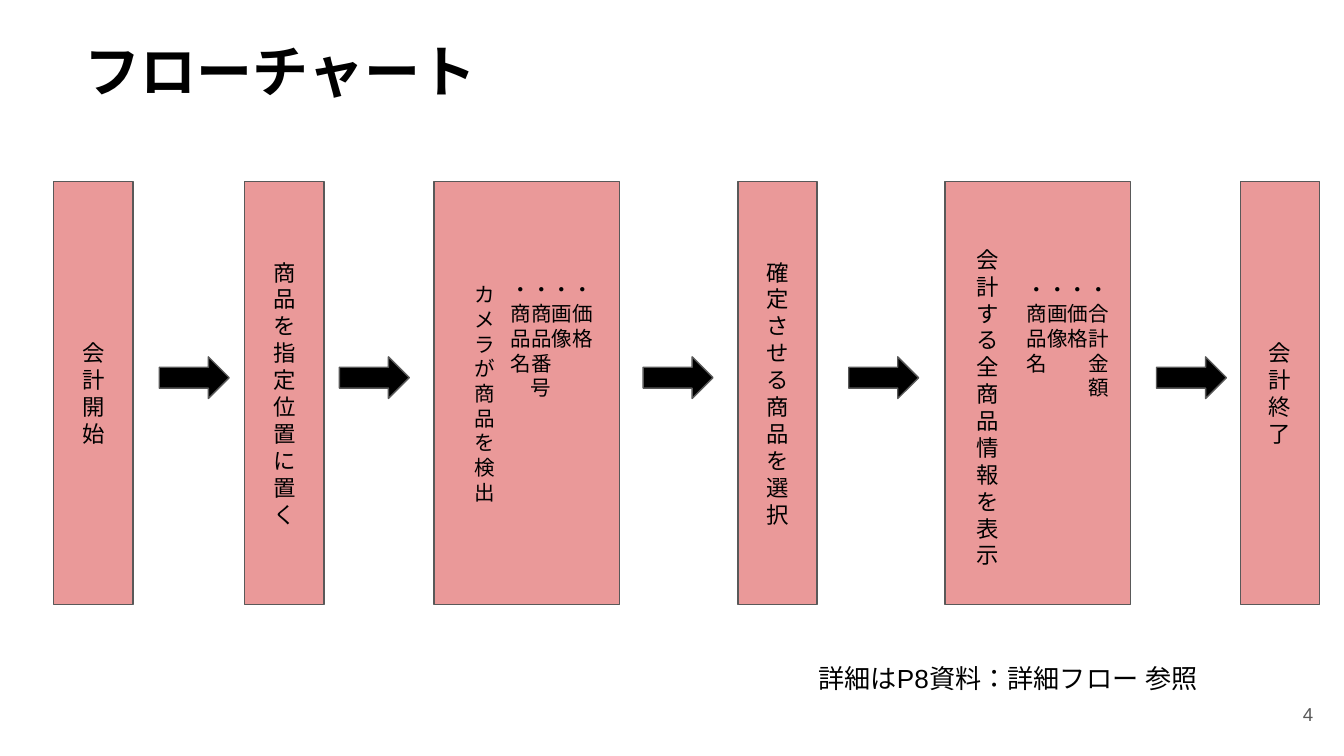
from dataclasses import dataclass

from lxml.etree import SubElement
from pptx import Presentation
from pptx.dml.color import RGBColor
from pptx.enum.lang import MSO_LANGUAGE_ID
from pptx.enum.shapes import MSO_SHAPE
from pptx.enum.text import MSO_ANCHOR, MSO_AUTO_SIZE, PP_ALIGN
from pptx.oxml.ns import qn
from pptx.util import Inches, Pt


@dataclass(frozen=True)
class Theme:
    """Colours, font and type sizes of the slide."""
    font: str = "Arial"
    text: RGBColor = RGBColor(0, 0, 0)
    muted: RGBColor = RGBColor(0x59, 0x59, 0x59)
    step: RGBColor = RGBColor(0xEA, 0x99, 0x99)
    arrow: RGBColor = RGBColor(0, 0, 0)
    title_size: int = 30
    note_size: int = 14
    step_size: int = 12
    detail_size: int = 11
    number_size: int = 10


theme = Theme()


def write(shape, lines, size, align=PP_ALIGN.LEFT, anchor=MSO_ANCHOR.TOP,
          color=theme.text, bold=False, tab=None):
    """Write one paragraph per line, with an optional tab stop in points."""
    frame = shape.text_frame
    frame.word_wrap = True
    frame.auto_size = MSO_AUTO_SIZE.NONE
    frame.vertical_anchor = anchor
    frame.margin_left = frame.margin_right = Inches(0.1)
    frame.margin_top = frame.margin_bottom = Inches(0.1)
    for index, line in enumerate(lines):
        paragraph = frame.add_paragraph() if index else frame.paragraphs[0]
        paragraph.alignment = align
        if tab:
            tab_list = SubElement(paragraph._p.get_or_add_pPr(), qn("a:tabLst"))
            SubElement(tab_list, qn("a:tab"), pos=str(Pt(tab)), algn="l")
        run = paragraph.add_run()
        run.text = line
        run.font.name = theme.font
        run.font.size = Pt(size)
        run.font.bold = bold
        run.font.color.rgb = color
        run.font.language_id = MSO_LANGUAGE_ID.JAPANESE
        SubElement(run.font._element, qn("a:ea"), typeface=theme.font)


def add_block(kind, left, top, width, height, fill):
    """Add a filled shape with a thin grey outline and return it."""
    shape = slide.shapes.add_shape(
        kind, Inches(left), Inches(top), Inches(width), Inches(height))
    shape.shadow.inherit = False
    shape.fill.solid()
    shape.fill.fore_color.rgb = fill
    shape.line.color.rgb = theme.muted
    shape.line.width = Pt(0.75)
    return shape


presentation = Presentation()
presentation.slide_width = Inches(10)
presentation.slide_height = Inches(10) * 9 // 16
slide = presentation.slides.add_slide(presentation.slide_layouts[5])

title = slide.shapes.title
title.left, title.top = Inches(0.53), Inches(0.17)
title.width, title.height = Inches(3.42), Inches(0.63)
write(title, ["フローチャート"], theme.title_size, bold=True)

# Steps: left, width, label written downwards
narrow, wide = 0.59, 1.38
steps = [
    (0.4, narrow, "会計開始"),
    (1.82, narrow, "商品を指定位置に置く"),
    (3.23, wide, ""),
    (5.49, narrow, "確定させる商品を選択"),
    (7.03, wide, ""),
    (9.23, narrow, "会計終了"),
]
for left, width, label in steps:
    step = add_block(MSO_SHAPE.RECTANGLE, left, 1.35, width, 3.15, theme.step)
    if label:
        write(step, label, theme.step_size, PP_ALIGN.CENTER, MSO_ANCHOR.MIDDLE)

for left in (1.29, 2.63, 4.89, 6.42, 8.71):
    arrow = add_block(MSO_SHAPE.DOWN_ARROW, left, 2.55, 0.31, 0.52, theme.arrow)
    arrow.rotation = 270

# Labels of the wide steps: left, top, text, size, alignment
wide_labels = [
    (3.36, 2, "カメラが商品を検出", theme.detail_size, PP_ALIGN.CENTER),
    (7.17, 1.73, "会計する全商品情報を表示", theme.step_size, PP_ALIGN.LEFT),
]
for left, top, label, size, align in wide_labels:
    box = slide.shapes.add_textbox(
        Inches(left), Inches(top), Inches(0.5), Inches(1.61))
    write(box, label, size, align)

# Item columns read downwards, four characters to a row;
# the tab stop is a whole number of characters
item_lists = [
    (3.7, 1, ["・・・・", "商商画価品品像格", "名番", "\t号"]),
    (7.54, 3, ["・・・・", "商画価合", "品像格計", "名\t金", "\t額"]),
]
for left, tab_column, rows in item_lists:
    box = slide.shapes.add_textbox(
        Inches(left), Inches(1.96), Inches(0.87), Inches(1.2))
    write(box, rows, theme.detail_size, tab=tab_column * theme.detail_size)

note = slide.shapes.add_textbox(
    Inches(5.99), Inches(4.83), Inches(3.25), Inches(0.43))
write(note, ["詳細はP8資料：詳細フロー 参照"], theme.note_size)

number = slide.shapes.add_textbox(
    Inches(9.27), Inches(5.1), Inches(0.6), Inches(0.43))
write(number, ["4"], theme.number_size, PP_ALIGN.RIGHT, MSO_ANCHOR.MIDDLE,
      theme.muted)

presentation.save("out.pptx")
